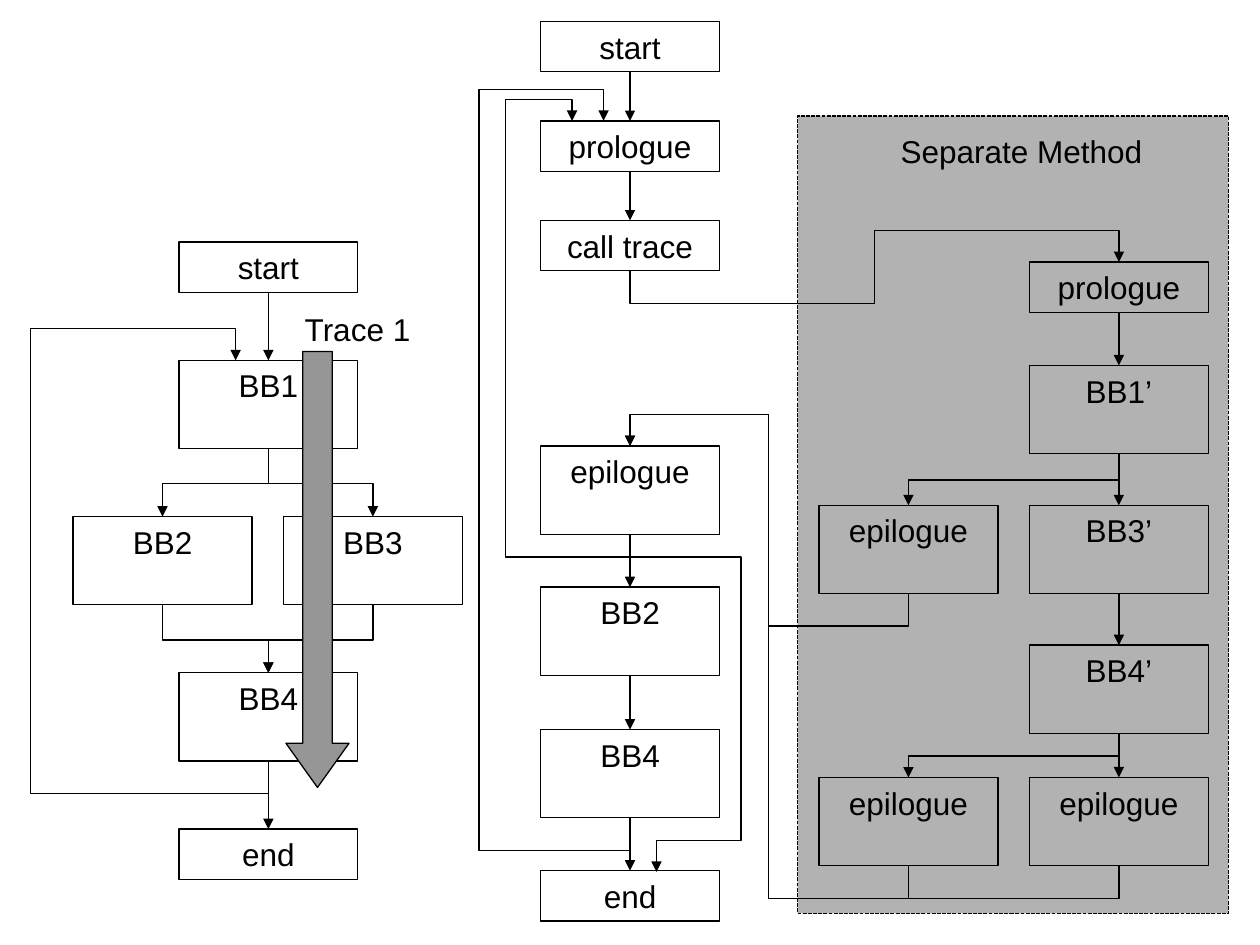
from dataclasses import dataclass

from lxml.etree import SubElement
from pptx import Presentation
from pptx.dml.color import RGBColor
from pptx.enum.dml import MSO_LINE
from pptx.enum.shapes import MSO_CONNECTOR, MSO_SHAPE
from pptx.enum.text import MSO_ANCHOR, PP_ALIGN
from pptx.oxml.ns import qn
from pptx.util import Inches, Pt

BLACK = "000000"
BOX_W, SHORT, TALL = 1.42, 0.4, 0.7
LEFT, MIDDLE, SIDE, RIGHT = 2.13, 5.0, 7.21, 8.88  # column centres


@dataclass(frozen=True)
class Box:
    text: str
    x: float  # centre
    y: float  # top
    h: float = TALL

    @property
    def top(self) -> tuple[float, float]:
        return self.x, self.y

    @property
    def bottom(self) -> tuple[float, float]:
        return self.x, self.y + self.h


@dataclass(frozen=True)
class Route:
    """Elbow path leaving vertically; lanes alternate y, x, y."""
    start: tuple[float, float]
    end: tuple[float, float]
    lanes: tuple[float, ...]
    arrow: bool = True


def rgb(value: str) -> RGBColor:
    return RGBColor.from_string(value)


def write(sp, text: str, *, size=18, color=BLACK, font="Arial",
          align=PP_ALIGN.CENTER, wrap=True) -> None:
    tf = sp.text_frame
    tf.word_wrap = wrap
    tf.vertical_anchor = MSO_ANCHOR.TOP
    p = tf.paragraphs[0]
    p.alignment = align
    r = p.add_run()
    r.text = text
    r.font.size, r.font.name = Pt(size), font
    r.font.color.rgb = rgb(color)


def add_shape(s, kind, x: float, y: float, w: float, h: float, fill=None):
    sp = s.shapes.add_shape(kind, Inches(x), Inches(y), Inches(w), Inches(h))
    sp.shadow.inherit = False
    if fill:
        sp.fill.solid()
        sp.fill.fore_color.rgb = rgb(fill)
    else:
        sp.fill.background()
    sp.line.color.rgb = rgb(BLACK)
    sp.line.width = Pt(0.75)
    return sp


def add_box(s, box: Box):
    sp = add_shape(s, MSO_SHAPE.RECTANGLE, box.x - BOX_W / 2, box.y, BOX_W, box.h)
    write(sp, box.text)
    return sp


def add_label(s, text: str, x: float, y: float, w: float) -> None:
    tb = s.shapes.add_textbox(Inches(x), Inches(y), Inches(w), Inches(SHORT))
    write(tb, text, align=PP_ALIGN.LEFT, wrap=False)


def add_line(s, start, end, kind=MSO_CONNECTOR.STRAIGHT, arrow=True):
    c = s.shapes.add_connector(kind, *map(Inches, (*start, *end)))
    c.line.color.rgb = rgb(BLACK)
    c.line.width = Pt(0.75)
    spPr = c._element.spPr
    if arrow:
        SubElement(spPr.find(qn("a:ln")), qn("a:tailEnd"), type="triangle")
    SubElement(spPr, qn("a:effectLst"))
    return c


def add_route(s, route: Route) -> None:
    """Turn an elbow connector by a quarter so that it starts vertically."""
    (x1, y1), (x2, y2) = route.start, route.end
    dx, dy = x2 - x1, y2 - y1
    w, h = abs(dy), abs(dx)
    c = add_line(s, route.start, route.end, MSO_CONNECTOR.ELBOW, route.arrow)
    c.left, c.top = Inches((x1 + x2 - w) / 2), Inches((y1 + y2 - h) / 2)
    c.width, c.height = Inches(w), Inches(h)
    c.rotation = 90 if dx * dy < 0 else 270
    spPr = c._element.spPr
    xfrm = spPr.find(qn("a:xfrm"))
    for name, flipped in (("flipH", dx > 0), ("flipV", dy < 0)):
        xfrm.set(name, str(int(flipped)))
    geom = spPr.find(qn("a:prstGeom"))
    geom.set("prst", f"bentConnector{len(route.lanes) + 2}")
    for i, lane in enumerate(route.lanes):
        share = (lane - x1) / dx if i % 2 else (lane - y1) / dy
        name = "adj" if len(route.lanes) == 0 else f"adj{i + 1}"
        SubElement(geom.find(qn("a:avLst")), qn("a:gd"),
                   name=name, fmla=f"val {round(share * 100000)}")


BOXES = {
    "start": Box("start", LEFT, 1.92, SHORT),
    "bb1": Box("BB1", LEFT, 2.86),
    "bb2": Box("BB2", 1.29, 4.1),
    "bb3": Box("BB3", 2.96, 4.1),
    "bb4": Box("BB4", LEFT, 5.34),
    "end": Box("end", LEFT, 6.58, SHORT),
    "main start": Box("start", MIDDLE, 0.17, SHORT),
    "main prologue": Box("prologue", MIDDLE, 0.96, SHORT),
    "call": Box("call trace", MIDDLE, 1.75, SHORT),
    "main epilogue": Box("epilogue", MIDDLE, 3.54),
    "main bb2": Box("BB2", MIDDLE, 4.66),
    "main bb4": Box("BB4", MIDDLE, 5.79),
    "main end": Box("end", MIDDLE, 6.91, SHORT),
    "prologue": Box("prologue", RIGHT, 2.08, SHORT),
    "bb1'": Box("BB1’", RIGHT, 2.9),
    "bb3'": Box("BB3’", RIGHT, 4.01),
    "bb4'": Box("BB4’", RIGHT, 5.12),
    "last epilogue": Box("epilogue", RIGHT, 6.17),
    "exit 1": Box("epilogue", SIDE, 4.01),
    "exit 2": Box("epilogue", SIDE, 6.17),
}

# Straight arrows run down each chain
CHAINS = [
    ("start", "bb1"),
    ("bb4", "end"),
    ("main start", "main prologue", "call"),
    ("main epilogue", "main bb2", "main bb4", "main end"),
    ("prologue", "bb1'", "bb3'", "bb4'", "last epilogue"),
]

# Elbows between boxes: source, target, lanes
LINKS = [
    ("bb1", "bb2", (3.84,)),
    ("bb1", "bb3", (3.84,)),
    ("bb2", "bb4", (5.08,)),
    ("bb3", "bb4", (5.08,)),
    ("bb1'", "exit 1", (3.81,)),
    ("bb4'", "exit 2", (6.0,)),
    ("call", "prologue", (2.41, 6.94, 1.83)),
    ("exit 1", "main epilogue", (4.97, 6.1, 3.29)),
    ("exit 2", "main epilogue", (7.13, 6.1, 3.29)),
]

BYPASS_X, BYPASS_TOP, BYPASS_BOTTOM = 5.88, 4.59, 6.42
AFTER_EPILOGUE = BOXES["main epilogue"].bottom
ROUTES = [Route(BOXES[a].bottom, BOXES[b].top, lanes) for a, b, lanes in LINKS] + [
    Route(BOXES["bb4"].bottom, (1.87, 2.86), (6.3, 0.24, 2.61)),
    Route(BOXES["main bb4"].bottom, (4.79, 0.96), (6.75, 3.8, 0.71)),
    Route(AFTER_EPILOGUE, (4.54, 0.96), (4.42, 4.01, 0.79)),
    Route(AFTER_EPILOGUE, (BYPASS_X, BYPASS_TOP), (4.42,), arrow=False),
    Route((BYPASS_X, BYPASS_BOTTOM), (5.21, 6.92), (6.67,)),
    Route(BOXES["last epilogue"].bottom, (7.17, 7.13), (), arrow=False),
]


def main() -> None:
    prs = Presentation()
    prs.slide_width, prs.slide_height = Inches(10), Inches(7.5)
    s = prs.slides.add_slide(prs.slide_layouts[6])

    panel = add_shape(s, MSO_SHAPE.RECTANGLE, 6.33, 0.92, 3.42, 6.33, "B2B2B2")
    panel.line.dash_style = MSO_LINE.SQUARE_DOT
    add_label(s, "Separate Method", 7.05, 1, 2.12)

    drawn = {name: add_box(s, box) for name, box in BOXES.items()}
    for chain in CHAINS:
        for a, b in zip(chain, chain[1:]):
            c = add_line(s, BOXES[a].bottom, BOXES[b].top)
            c.begin_connect(drawn[a], 2)
            c.end_connect(drawn[b], 0)
    for route in ROUTES:
        add_route(s, route)
    add_line(s, (BYPASS_X, BYPASS_TOP), (BYPASS_X, BYPASS_BOTTOM), arrow=False)

    trace = add_shape(s, MSO_SHAPE.DOWN_ARROW, 2.27, 2.79, 0.5, 3.46, "969696")
    trace.adjustments[0], trace.adjustments[1] = 0.47, 0.7
    add_label(s, "Trace 1", 2.32, 2.41, 1.05)

    prs.save("out.pptx")


if __name__ == "__main__":
    main()
